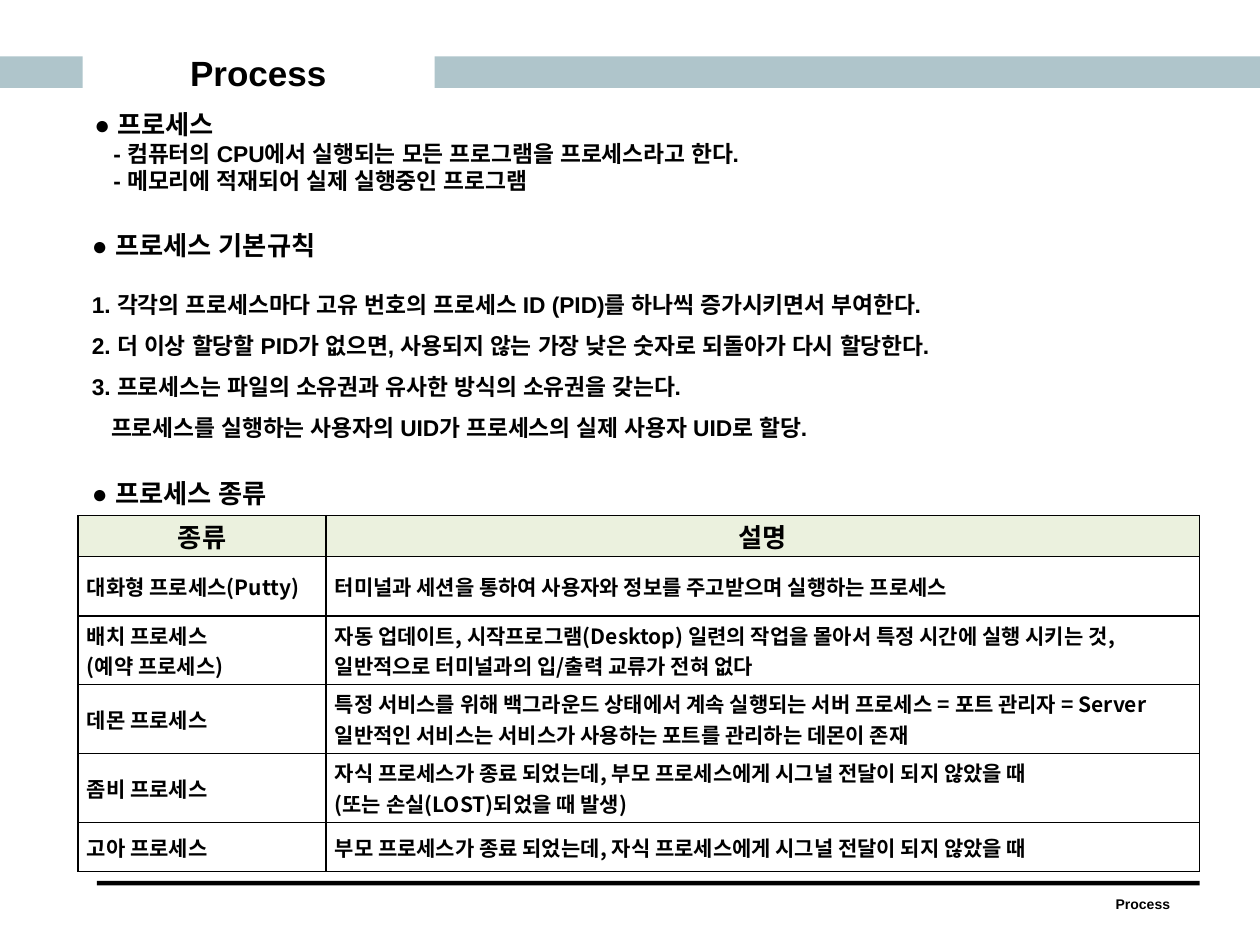
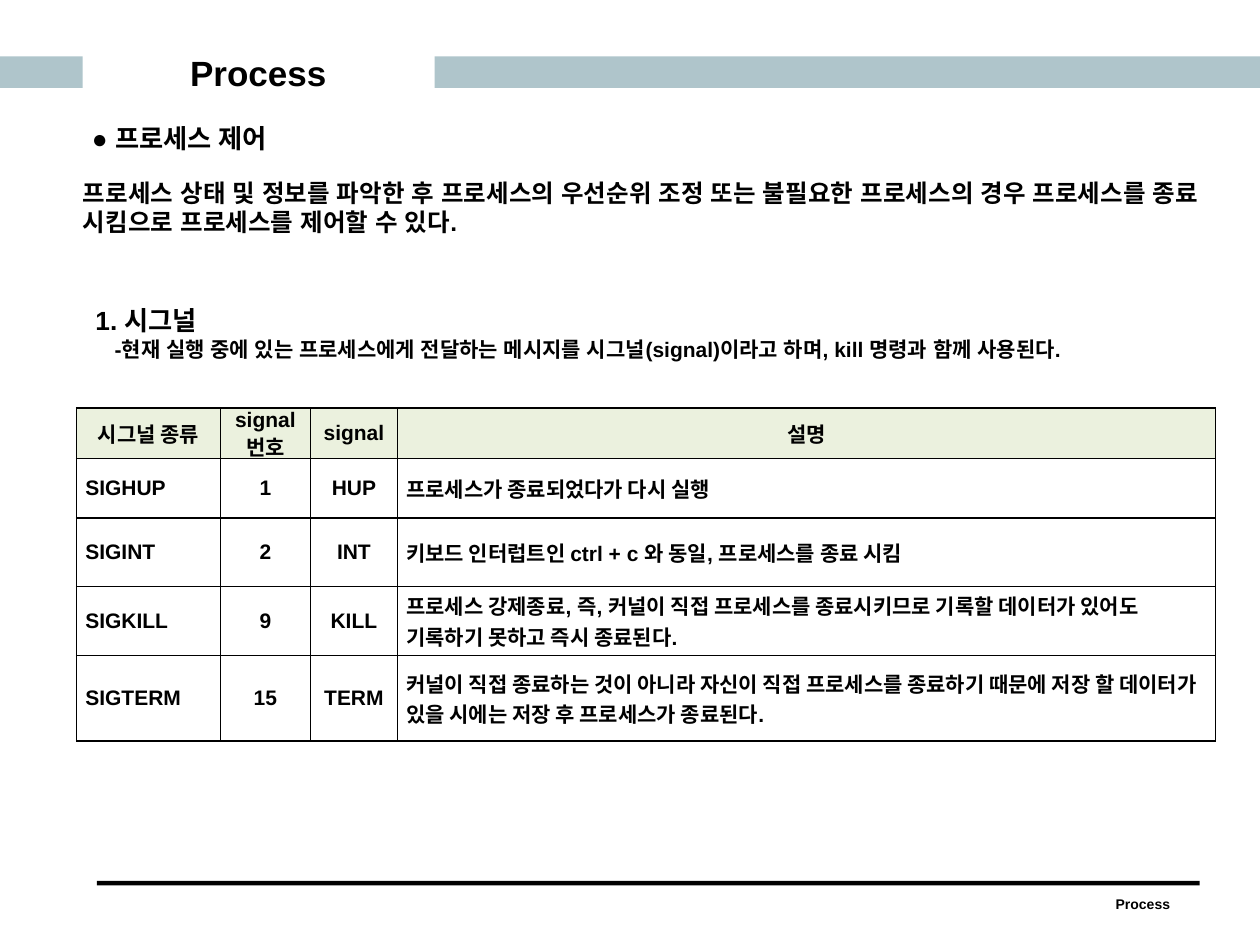
from lxml.etree import SubElement
from pptx import Presentation
from pptx.dml.color import RGBColor as Rgb
from pptx.enum.shapes import MSO_SHAPE as Preset
from pptx.enum.text import MSO_ANCHOR as Anchor, PP_ALIGN as Align
from pptx.oxml import parse_xml
from pptx.oxml.ns import nsdecls, qn
from pptx.util import Pt

COLORS = {"band": "AFC5CB", "ink": "000000", "header": "EBF1DE"}
LATIN = "Arial"
KOREAN = "Noto Sans CJK KR"
TOPIC = "Process"


def write(frame, text, size=13, bold=True, align=Align.LEFT, latin=LATIN, east=LATIN,
          marker="", indent=0, before=0, spacing=None):
    paragraph = frame.paragraphs[0]
    if paragraph.runs:
        paragraph = frame.add_paragraph()
    paragraph.alignment = align
    if before:
        paragraph.space_before = Pt(before)
    if spacing:
        paragraph.line_spacing = spacing
    if indent:
        properties = paragraph._p.get_or_add_pPr()
        properties.set("marL", str(Pt(indent)))
        properties.set("indent", "0")
    for part, weight in ((marker, False), (text, bold)):
        if part:
            run = paragraph.add_run()
            run.text = part
            run.font.size = Pt(size)
            run.font.bold = weight
            run.font.color.rgb = Rgb.from_string(COLORS["ink"])
            run.font.name = latin
            SubElement(run._r.get_or_add_rPr(), qn("a:ea"), typeface=east)


class Deck:
    def __init__(self):
        self.presentation = Presentation()
        self.presentation.slide_width = Pt(720)
        self.presentation.slide_height = Pt(540)
        self.slide = None

    def new_slide(self):
        self.slide = self.presentation.slides.add_slide(self.presentation.slide_layouts[6])
        self.bar(0, 32.2, 47.3, 18, "band")
        self.bar(248.3, 32.2, 471.7, 18, "band")
        self.bar(55.4, 503.4, 630.2, 2.6, "ink")
        write(self.box(620.6, 508.3, 65, 17.3), TOPIC, size=8, align=Align.CENTER)
        title = self.box(54, 26, 187.2, 31, margins=(6.5, 2.9))
        title.vertical_anchor = Anchor.MIDDLE
        write(title, TOPIC, size=20, align=Align.CENTER)

    def bar(self, left, top, width, height, color):
        bar = self.slide.shapes.add_shape(
            Preset.RECTANGLE, Pt(left), Pt(top), Pt(width), Pt(height))
        bar.shadow.inherit = False
        bar.fill.solid()
        bar.fill.fore_color.rgb = Rgb.from_string(COLORS[color])
        bar.line.fill.background()

    def box(self, left, top, width, height, margins=(7.2, 3.6)):
        frame = self.slide.shapes.add_textbox(
            Pt(left), Pt(top), Pt(width), Pt(height)).text_frame
        frame.word_wrap = True
        frame.margin_left = frame.margin_right = Pt(margins[0])
        frame.margin_top = frame.margin_bottom = Pt(margins[1])
        return frame

    def section(self, text, left, top, width=131, height=25.2):
        frame = self.box(left, top, width, height)
        write(frame, text, size=15, marker="● ")
        return frame

    def table(self, left, top, widths, heights, rows, header_size, centered=(), latin=LATIN):
        table = self.slide.shapes.add_table(
            len(rows), len(widths), Pt(left), Pt(top),
            Pt(sum(widths)), Pt(sum(heights))).table
        table.first_row = table.horz_banding = False
        for column, width in zip(table.columns, widths):
            column.width = Pt(width)
        for r, (values, height) in enumerate(zip(rows, heights)):
            table.rows[r].height = Pt(height)
            for c, value in enumerate(values):
                cell = table.cell(r, c)
                self.style_cell(cell, header=r == 0)
                align = Align.CENTER if r == 0 or c in centered else Align.LEFT
                for line in value.split("\n"):
                    write(cell.text_frame, line, size=12 if r else header_size,
                          align=align, latin=latin if r else LATIN, east=KOREAN)

    def style_cell(self, cell, header):
        cell.vertical_anchor = Anchor.MIDDLE
        cell.margin_left = cell.margin_right = Pt(5)
        cell.margin_top = cell.margin_bottom = 0
        if header:
            cell.fill.solid()
            cell.fill.fore_color.rgb = Rgb.from_string(COLORS["header"])
        else:
            cell.fill.background()
        properties = cell._tc.get_or_add_tcPr()
        for position, side in enumerate("LRTB"):
            properties.insert(position, parse_xml(
                f'<a:ln{side} {nsdecls("a")} w="{Pt(1)}"><a:solidFill>'
                f'<a:srgbClr val="{COLORS["ink"]}"/></a:solidFill></a:ln{side}>'))


def build_overview(deck):
    deck.new_slide()
    definition = deck.section("프로세스", 46.8, 58.3, 424, 57)
    for line in ("- 컴퓨터의 CPU에서 실행되는 모든 프로그램을 프로세스라고 한다.",
                 "- 메모리에 적재되어 실제 실행중인 프로그램"):
        write(definition, line, indent=11)

    rules = deck.section("프로세스 기본규칙", 45.4, 127.4, 660, 129.6)
    write(rules, "1. 각각의 프로세스마다 고유 번호의 프로세스 ID (PID)를 하나씩 증가시키면서 부여한다.",
          before=9.5, spacing=1.5)
    write(rules, "2. 더 이상 할당할 PID가 없으면, 사용되지 않는 가장 낮은 숫자로 되돌아가 다시 할당한다.",
          spacing=1.5)
    write(rules, "3. 프로세스는 파일의 소유권과 유사한 방식의 소유권을 갖는다.", spacing=1.5)
    write(rules, "프로세스를 실행하는 사용자의 UID가 프로세스의 실제 사용자 UID로 할당.",
          indent=11, spacing=1.5)

    kinds = [
        ("종류", "설명"),
        ("대화형 프로세스(Putty)",
         "터미널과 세션을 통하여 사용자와 정보를 주고받으며 실행하는 프로세스"),
        ("배치 프로세스\n(예약 프로세스)",
         "자동 업데이트, 시작프로그램(Desktop) 일련의 작업을 몰아서 특정 시간에 실행 시키는 것, "
         "일반적으로 터미널과의 입/출력 교류가 전혀 없다"),
        ("데몬 프로세스",
         "특정 서비스를 위해 백그라운드 상태에서 계속 실행되는 서버 프로세스 = 포트 관리자 = Server "
         "일반적인 서비스는 서비스가 사용하는 포트를 관리하는 데몬이 존재"),
        ("좀비 프로세스",
         "자식 프로세스가 종료 되었는데, 부모 프로세스에게 시그널 전달이 되지 않았을 때\n"
         "(또는 손실(LOST)되었을 때 발생)"),
        ("고아 프로세스",
         "부모 프로세스가 종료 되었는데, 자식 프로세스에게 시그널 전달이 되지 않았을 때"),
    ]
    deck.table(44.7, 294.6, (141.6, 499.2), (23.5, 34, 39, 39.5, 39.5, 28), kinds,
               header_size=15, latin=KOREAN)
    deck.section("프로세스 종류", 45.4, 269.3)


def build_control(deck):
    deck.new_slide()
    deck.section("프로세스 제어", 45.4, 66.2)
    write(deck.box(40.3, 98, 660, 41),
          "프로세스 상태 및 정보를 파악한 후 프로세스의 우선순위 조정 또는 불필요한 프로세스의 경우 "
          "프로세스를 종료 시킴으로 프로세스를 제어할 수 있다.", size=14)

    signals = [
        ("시그널 종류", "signal 번호", "signal", "설명"),
        ("SIGHUP", "1", "HUP", "프로세스가 종료되었다가 다시 실행"),
        ("SIGINT", "2", "INT", "키보드 인터럽트인 ctrl + c 와 동일, 프로세스를 종료 시킴"),
        ("SIGKILL", "9", "KILL",
         "프로세스 강제종료, 즉, 커널이 직접 프로세스를 종료시키므로 기록할 데이터가 있어도 "
         "기록하기 못하고 즉시 종료된다."),
        ("SIGTERM", "15", "TERM",
         "커널이 직접 종료하는 것이 아니라 자신이 직접 프로세스를 종료하기 때문에 저장 할 "
         "데이터가 있을 시에는 저장 후 프로세스가 종료된다."),
    ]
    deck.table(43.8, 233.2, (82.2, 51.4, 49.8, 467.4), (24, 34, 39, 39.5, 49), signals,
               header_size=12, centered=(1, 2))

    signal_intro = deck.box(47.5, 170.6, 623, 44)
    write(signal_intro, "1. 시그널", size=15)
    write(signal_intro, "-현재 실행 중에 있는 프로세스에게 전달하는 메시지를 시그널(signal)이라고 하며, "
          "kill 명령과 함께 사용된다.", size=12, indent=11)


def main():
    deck = Deck()
    build_overview(deck)
    build_control(deck)
    deck.presentation.save("out.pptx")


if __name__ == "__main__":
    main()
